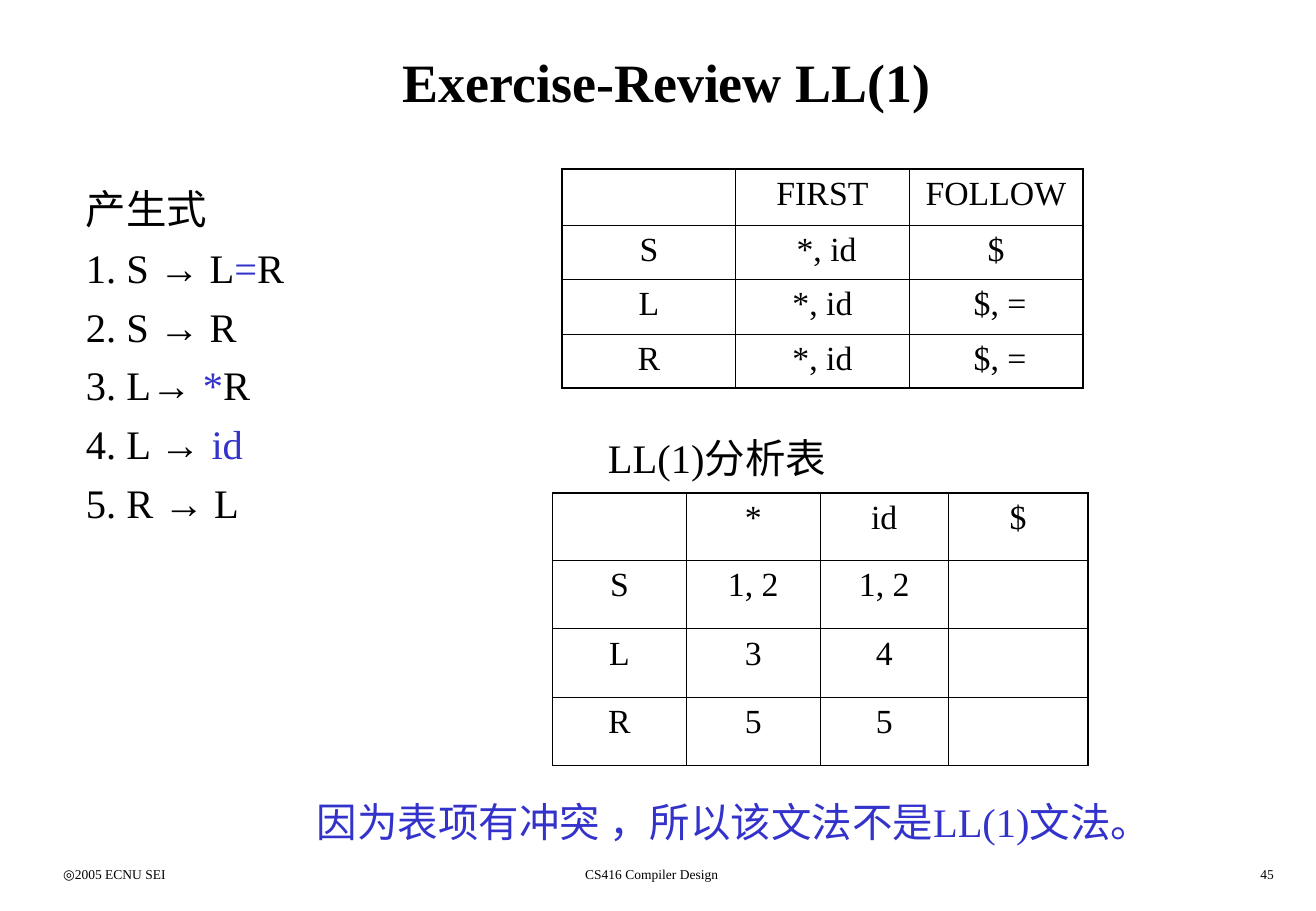
"""Build the LL(1) review exercise slide."""
import pptx
import pptx.dml.color
import pptx.enum.text
import pptx.oxml
import pptx.oxml.ns
import pptx.util
from pptx.util import Cm

SERIF = "Times New Roman"
BLACK = "000000"
BLUE = "3333CC"
ALIGN = pptx.enum.text.PP_ALIGN
TERMINALS = ("=", "*", "id")

PRODUCTIONS = [
    ["产生式"],
    ["1. S ", "→", " L", "=", "R"],
    ["2. S ", "→", " R"],
    ["3. L", "→ ", "*", "R"],
    ["4. L ", "→ ", "id"],
    ["5. R ", "→", " L"],
]
FIRST_FOLLOW = [
    ["", "FIRST", "FOLLOW"],
    ["S", " *, id", "$"],
    ["L", "*, id", " $, ="],
    ["R", "*, id", " $, ="],
]
PARSING_TABLE = [
    ["", "*", "id", "$"],
    ["S", "1, 2", "1, 2", ""],
    ["L", "3", "4", ""],
    ["R", "5", "5", ""],
]


def rgb(color):
    """Return the colour for a hex string."""
    return pptx.dml.color.RGBColor.from_string(color)


def style(paragraph, size, color=BLACK, align=ALIGN.LEFT, bold=False):
    """Set alignment and font of a paragraph."""
    paragraph.alignment = align
    font = paragraph.font
    font.name, font.size, font.bold = SERIF, pptx.util.Pt(size), bold
    font.color.rgb = rgb(color)


def add_frame(slide, left, top, width, height):
    """Add a wrapping text box and return its text frame."""
    frame = slide.shapes.add_textbox(Cm(left), Cm(top), Cm(width), Cm(height)).text_frame
    frame.word_wrap = True
    return frame


def add_label(slide, text, box, size, color=BLACK, align=ALIGN.LEFT):
    """Add a one-line label."""
    label = add_frame(slide, *box).paragraphs[0]
    label.text = text
    style(label, size, color, align)


def add_title(slide, text):
    """Place and format the title."""
    title = slide.shapes.title
    title.left, title.top, title.width, title.height = Cm(1.07), Cm(0.43), Cm(26.04), Cm(2.54)
    title.text_frame.text = text
    title.text_frame.vertical_anchor = pptx.enum.text.MSO_ANCHOR.MIDDLE
    style(title.text_frame.paragraphs[0], 32, align=ALIGN.CENTER, bold=True)


def add_grammar(slide):
    """List the productions with blue terminals."""
    frame = add_frame(slide, 1.55, 3.73, 7.57, 8)
    for number, symbols in enumerate(PRODUCTIONS):
        production = frame.add_paragraph() if number else frame.paragraphs[0]
        style(production, 24)
        if number:
            production.space_before = pptx.util.Pt(6)
        for symbol in symbols:
            run = production.add_run()
            run.text = symbol
            if "→" in symbol:
                run.font.name = "Arial"
            if symbol in TERMINALS:
                run.font.color.rgb = rgb(BLUE)


def set_border(cell, side, width):
    """Draw one black border of a cell."""
    cell._tc.get_or_add_tcPr().append(pptx.oxml.parse_xml(
        f'<a:ln{side} {pptx.oxml.ns.nsdecls("a")} w="{pptx.util.Pt(width)}">'
        f'<a:solidFill><a:srgbClr val="{BLACK}"/></a:solidFill></a:ln{side}>'))


def add_grid(slide, rows, left, top, widths, heights):
    """Add a plain table with a heavier outer border."""
    last_row, last_column = len(rows) - 1, len(widths) - 1
    table = slide.shapes.add_table(len(rows), len(widths), Cm(left), Cm(top),
                                   Cm(sum(widths)), Cm(sum(heights))).table
    table.first_row = table.horz_banding = False
    for column, width in zip(table.columns, widths):
        column.width = Cm(width)
    for row, height in zip(table.rows, heights):
        row.height = Cm(height)
    for r, texts in enumerate(rows):
        for c, text in enumerate(texts):
            cell = table.cell(r, c)
            cell.text = text
            style(cell.text_frame.paragraphs[0], 20, align=ALIGN.CENTER)
            outer = {"L": c == 0, "R": c == last_column, "T": r == 0, "B": r == last_row}
            for side, is_outer in outer.items():
                set_border(cell, side, 1.08 if is_outer else 0.45)
            cell.fill.background()


def main():
    """Build and save the slide."""
    deck = pptx.Presentation()
    deck.slide_width, deck.slide_height = Cm(27.53), Cm(19.05)
    slide = deck.slides.add_slide(deck.slide_layouts[5])
    add_title(slide, "Exercise-Review LL(1) ")
    add_grammar(slide)
    add_grid(slide, FIRST_FOLLOW, 11.76, 3.53, [3.63] * 3, [1.19, 1.13, 1.15, 1.12])
    add_label(slide, "LL(1)分析表", (12.47, 8.92, 5.5, 1.27), 24)
    add_grid(slide, PARSING_TABLE, 11.56, 10.31, [2.8, 2.8, 2.68, 2.92], [1.4, 1.44, 1.43, 1.43])
    add_label(slide, "因为表项有冲突 ，所以该文法不是LL(1)文法。", (6.38, 16.54, 18.6, 1.27), 24, BLUE)
    add_label(slide, "◎2005 ECNU SEI", (1.07, 17.98, 5.74, 0.64), 8)
    add_label(slide, "CS416 Compiler Design", (8.48, 17.98, 10.31, 0.64), 8, align=ALIGN.CENTER)
    add_label(slide, "45", (21.16, 17.98, 5.74, 0.64), 8, align=ALIGN.RIGHT)
    deck.save("out.pptx")


if __name__ == "__main__":
    main()
